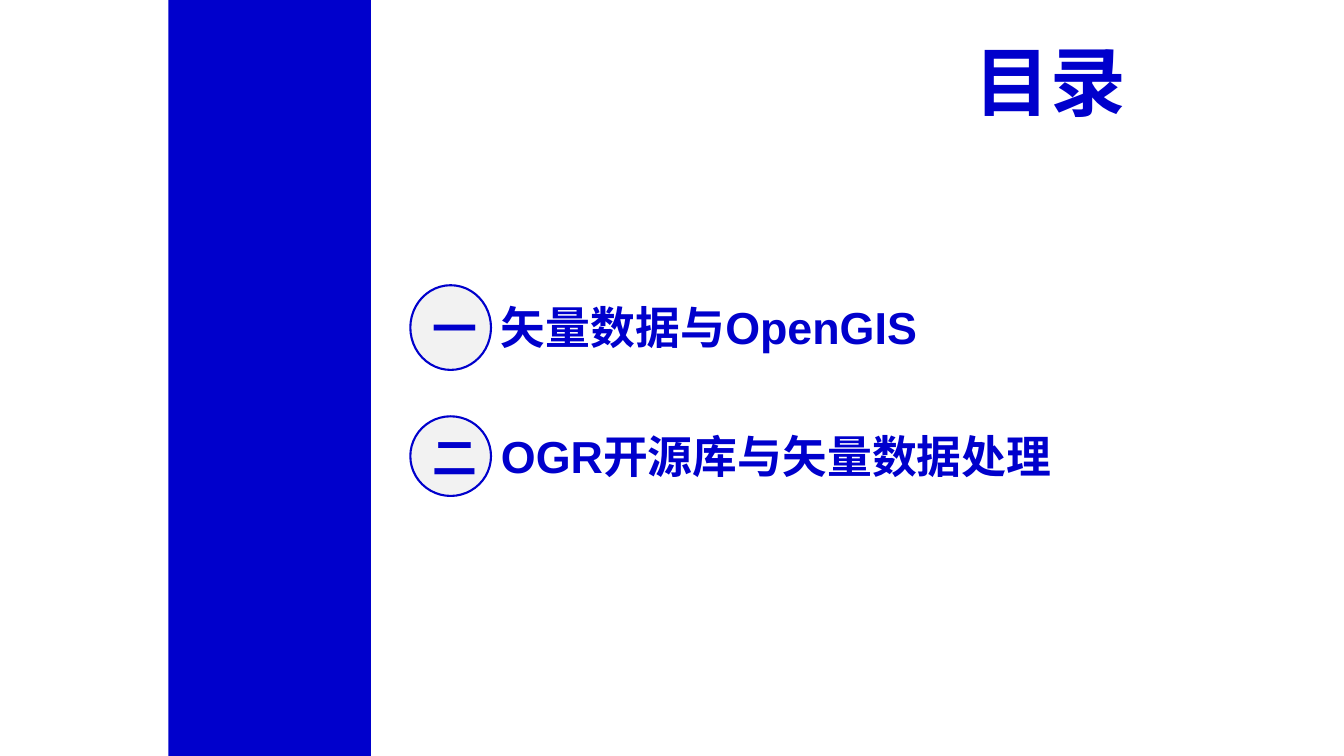
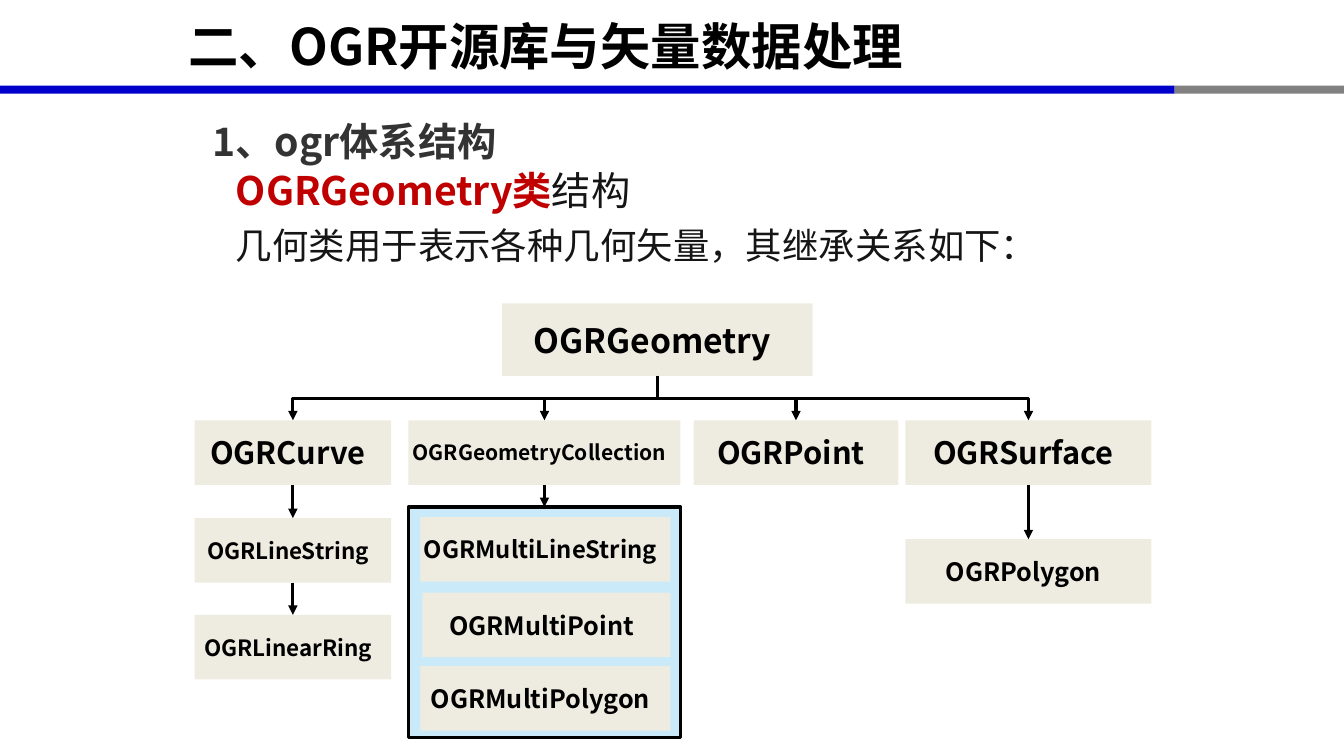
"""Build a contents slide and a class hierarchy slide about OGR vector data."""
from dataclasses import dataclass

import pptx
import pptx.dml.color
import pptx.enum.shapes
import pptx.enum.text
import pptx.oxml.ns
import pptx.oxml.xmlchemy
import pptx.util
from lxml import etree
from pptx.util import Inches

COLORS = {
    "blue": "0000CC", "gray": "808080", "pale": "F2F2F2", "white": "FFFFFF",
    "black": "000000", "heading": "333333", "text": "151515", "red": "C00000",
    "beige": "EEECE1", "sky": "CAEAFA",
}
CJK = "Noto Sans CJK SC"
SHAPE = pptx.enum.shapes.MSO_SHAPE
CONNECTOR = pptx.enum.shapes.MSO_CONNECTOR
ALIGN = pptx.enum.text.PP_ALIGN
MIDDLE = pptx.enum.text.MSO_ANCHOR.MIDDLE
TOP = pptx.enum.text.MSO_ANCHOR.TOP
NO_FIT = pptx.enum.text.MSO_AUTO_SIZE.NONE
qn = pptx.oxml.ns.qn


@dataclass(frozen=True)
class Box:
    left: float
    top: float
    width: float
    height: float


@dataclass(frozen=True)
class Run:
    text: str
    size: float
    color: str
    bold: bool = True
    font: str = CJK


@dataclass(frozen=True)
class Topic:
    number: str
    text: str
    circle: Box
    label: Box


@dataclass(frozen=True)
class Node:
    name: str
    size: float
    box: Box


TOPICS = [
    Topic("一", "矢量数据与OpenGIS", Box(4.07, 2.83, 0.8, 0.84), Box(4.87, 2.92, 4.73, 0.64)),
    Topic("二", "OGR开源库与矢量数据处理", Box(4.07, 4.13, 0.8, 0.79), Box(4.87, 4.2, 5.82, 0.64)),
]
NODE_H = 0.64
ROW_1 = 4.17
NODES = [
    Node("OGRGeometry", 24, Box(4.98, 3.01, 3.08, 0.72)),
    Node("OGRCurve", 22, Box(1.93, ROW_1, 1.95, NODE_H)),
    Node("OGRGeometryCollection", 15, Box(4.05, ROW_1, 2.7, NODE_H)),
    Node("OGRPoint", 22, Box(6.88, ROW_1, 2.03, NODE_H)),
    Node("OGRSurface", 22, Box(8.98, ROW_1, 2.44, NODE_H)),
    Node("OGRLineString", 16, Box(1.93, 5.14, 1.95, NODE_H)),
    Node("OGRLinearRing", 16, Box(1.93, 6.1, 1.95, NODE_H)),
    Node("OGRMultiLineString", 17, Box(4.17, 5.13, 2.48, NODE_H)),
    Node("OGRMultiPoint", 18, Box(4.19, 5.88, 2.46, NODE_H)),
    Node("OGRMultiPolygon", 18, Box(4.17, 6.61, 2.48, NODE_H)),
    Node("OGRPolygon", 18, Box(8.98, 5.35, 2.44, NODE_H)),
]
MULTI_FRAME = Box(4.05, 5.03, 2.7, 2.29)
BRANCHES = ["OGRCurve", "OGRGeometryCollection", "OGRPoint", "OGRSurface"]
CHAINS = [
    ("OGRCurve", "OGRLineString"),
    ("OGRLineString", "OGRLinearRing"),
    ("OGRGeometryCollection", "frame"),
    ("OGRSurface", "OGRPolygon"),
]


def rgb(name: str) -> pptx.dml.color.RGBColor:
    return pptx.dml.color.RGBColor.from_string(COLORS[name])


def place(sp, box: Box) -> None:
    for attr in ("left", "top", "width", "height"):
        setattr(sp, attr, Inches(getattr(box, attr)))


def add_runs(p, runs: list[Run], align=ALIGN.LEFT) -> None:
    p.alignment = align
    for item in runs:
        r = p.add_run()
        r.text = item.text
        style = {"size": pptx.util.Pt(item.size), "bold": item.bold, "name": item.font}
        for attr, value in style.items():
            setattr(r.font, attr, value)
        r.font.color.rgb = rgb(item.color)
        ea = etree.SubElement(r.font._element, qn("a:ea"))
        ea.set("typeface", CJK)


def format_frame(tf, **values) -> None:
    frame = {"word_wrap": True, "auto_size": NO_FIT, "vertical_anchor": MIDDLE}
    for attr, value in (frame | values).items():
        setattr(tf, attr, value)


def add_shape(s, kind, box: Box, fill: str, line: str = "", weight: float = 0):
    sp = s.shapes.add_shape(kind, *map(Inches, (box.left, box.top, box.width, box.height)))
    sp.shadow.inherit = False
    sp.fill.solid()
    sp.fill.fore_color.rgb = rgb(fill)
    if line:
        sp.line.color.rgb = rgb(line)
        sp.line.width = pptx.util.Pt(weight)
    else:
        sp.line.fill.background()
    return sp


def add_text(s, box: Box, run: Run, **values) -> None:
    sp = s.shapes.add_textbox(0, 0, 0, 0)
    place(sp, box)
    format_frame(sp.text_frame, **values)
    add_runs(sp.text_frame.paragraphs[0], [run])


def set_title(s, box: Box, run: Run, align, **values) -> None:
    sp = s.shapes.title
    place(sp, box)
    format_frame(sp.text_frame, **values)
    add_runs(sp.text_frame.paragraphs[0], [run], align)


def add_arrow(s, start, end, bent: bool = False) -> None:
    kind = CONNECTOR.ELBOW if bent else CONNECTOR.STRAIGHT
    cxn = s.shapes.add_connector(kind, 0, 0, 0, 0)
    cxn.begin_connect(start, 2)
    cxn.end_connect(end, 0)
    if bent:
        turn_down(cxn)
    cxn.line.color.rgb = rgb("black")
    cxn.line.width = pptx.util.Pt(2.25)
    etree.SubElement(cxn.line._get_or_add_ln(), qn("a:tailEnd")).set("type", "triangle")
    etree.SubElement(cxn._element.spPr, qn("a:effectLst"))


def turn_down(cxn) -> None:
    x1, y1, x2, y2 = cxn.begin_x, cxn.begin_y, cxn.end_x, cxn.end_y
    drop, reach = y2 - y1, abs(x2 - x1)
    xfrm = cxn._element.spPr.find(qn("a:xfrm"))
    xfrm.set("rot", str((90 if x2 < x1 else 270) * 60000))
    xfrm.set("flipH", "0" if x2 < x1 else "1")
    geometry = {
        "left": (x1 + x2 - drop) // 2, "top": (y1 + y2 - reach) // 2,
        "width": drop, "height": reach,
    }
    for attr, value in geometry.items():
        setattr(cxn, attr, value)


def build_contents(prs) -> None:
    s = prs.slides.add_slide(prs.slide_layouts[5])
    add_shape(s, SHAPE.RECTANGLE, Box(1.67, 0, 2.01, 7.5), "blue")
    title = Run("目录", 54, "blue", font="Arial")
    set_title(s, Box(9.55, 0.29, 1.72, 1.01), title, ALIGN.RIGHT, word_wrap=False)
    for topic in TOPICS:
        sp = add_shape(s, SHAPE.OVAL, topic.circle, "pale", "blue", 1.5)
        format_frame(sp.text_frame)
        add_runs(sp.text_frame.paragraphs[0], [Run(topic.number, 32, "blue")], ALIGN.CENTER)
        add_text(s, topic.label, Run(topic.text, 32, "blue", font="Arial"))


def add_body(s) -> None:
    sp = s.placeholders[1]
    place(sp, Box(2.24, 1.65, 9.16, 1.23))
    tf = sp.text_frame
    format_frame(tf, vertical_anchor=TOP, margin_top=0)
    lines = [
        ([Run("OGRGeometry类", 28, "red"), Run("结构", 28, "text", False)], 0),
        ([Run("几何类用于表示各种几何矢量，其继承关系如下：", 26, "text", False)], 7),
    ]
    for i, (runs, space) in enumerate(lines):
        p = tf.add_paragraph() if i else tf.paragraphs[0]
        add_runs(p, runs, ALIGN.JUSTIFY)
        p.space_before = pptx.util.Pt(space)
        pPr = p._p.get_or_add_pPr()
        for attr in ("marL", "indent"):
            pPr.set(attr, "0")
        etree.SubElement(pPr, qn("a:buNone"))


def add_tree(s) -> None:
    shapes = {"frame": add_shape(s, SHAPE.RECTANGLE, MULTI_FRAME, "sky", "black", 2.25)}
    for node in NODES:
        sp = add_shape(s, SHAPE.RECTANGLE, node.box, "beige")
        format_frame(sp.text_frame, margin_left=0, word_wrap=False)
        add_runs(sp.text_frame.paragraphs[0], [Run(node.name, node.size, "black")], ALIGN.CENTER)
        shapes[node.name] = sp
    for start, end in CHAINS:
        add_arrow(s, shapes[start], shapes[end])
    for branch in BRANCHES:
        add_arrow(s, shapes["OGRGeometry"], shapes[branch], bent=True)


def build_hierarchy(prs) -> None:
    s = prs.slides.add_slide(prs.slide_layouts[1])
    for left, width, color in ((0, 11.65, "blue"), (11.65, 1.68, "gray")):
        add_shape(s, SHAPE.RECTANGLE, Box(left, 0.85, width, 0.08), color)
    title = Run("二、OGR开源库与矢量数据处理", 36, "black")
    set_title(s, Box(1.67, 0.01, 9.86, 0.87), title, ALIGN.LEFT, margin_left=Inches(0.2))
    heading = Run("1、ogr体系结构", 28, "heading")
    add_text(s, Box(2.01, 0.93, 9.31, 0.72), heading, vertical_anchor=TOP, margin_top=Inches(0.23))
    add_body(s)
    add_tree(s)


def main() -> None:
    prs = pptx.Presentation()
    prs.slide_width, prs.slide_height = Inches(13.33), Inches(7.5)
    build_contents(prs)
    build_hierarchy(prs)
    prs.save("out.pptx")


if __name__ == "__main__":
    main()
